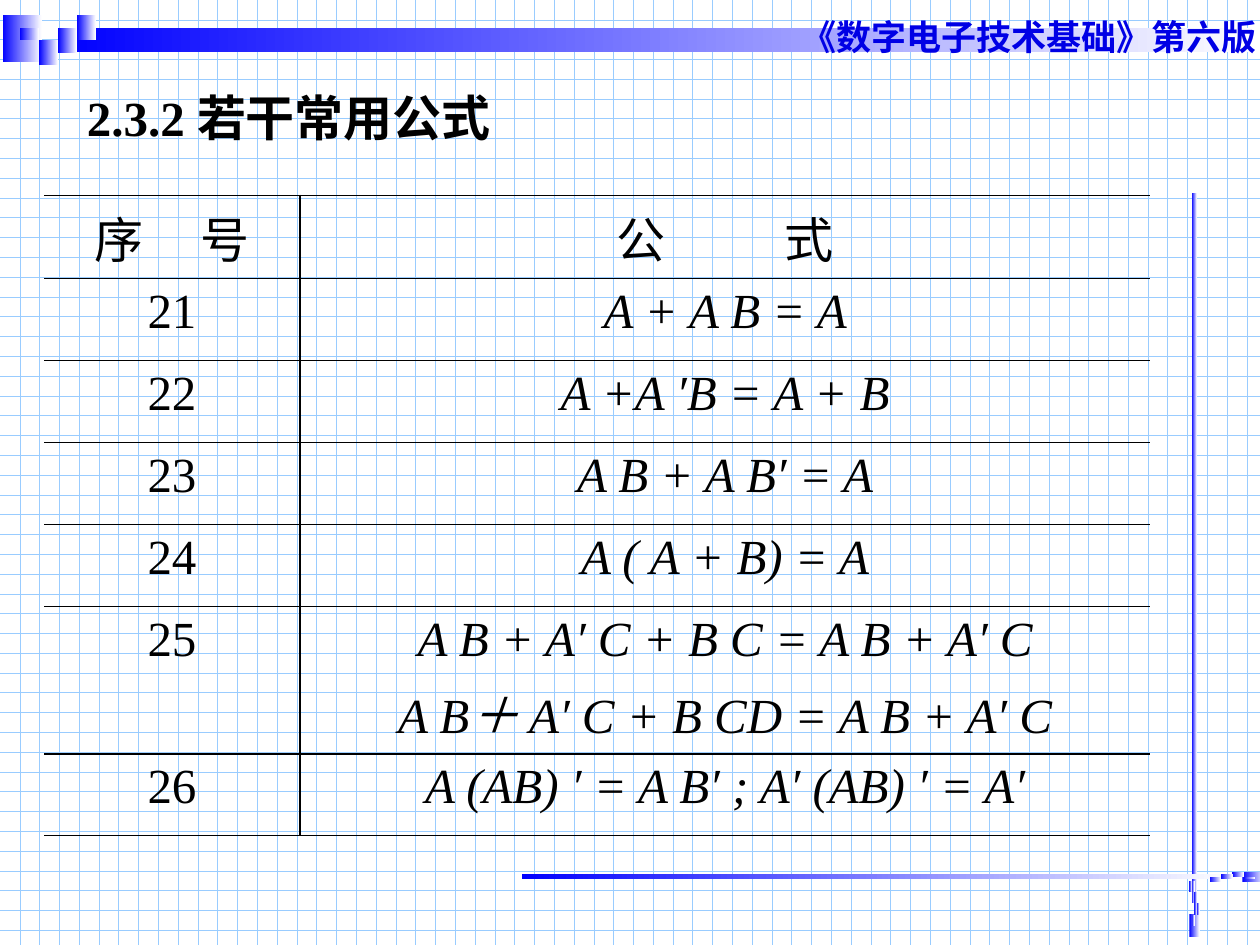
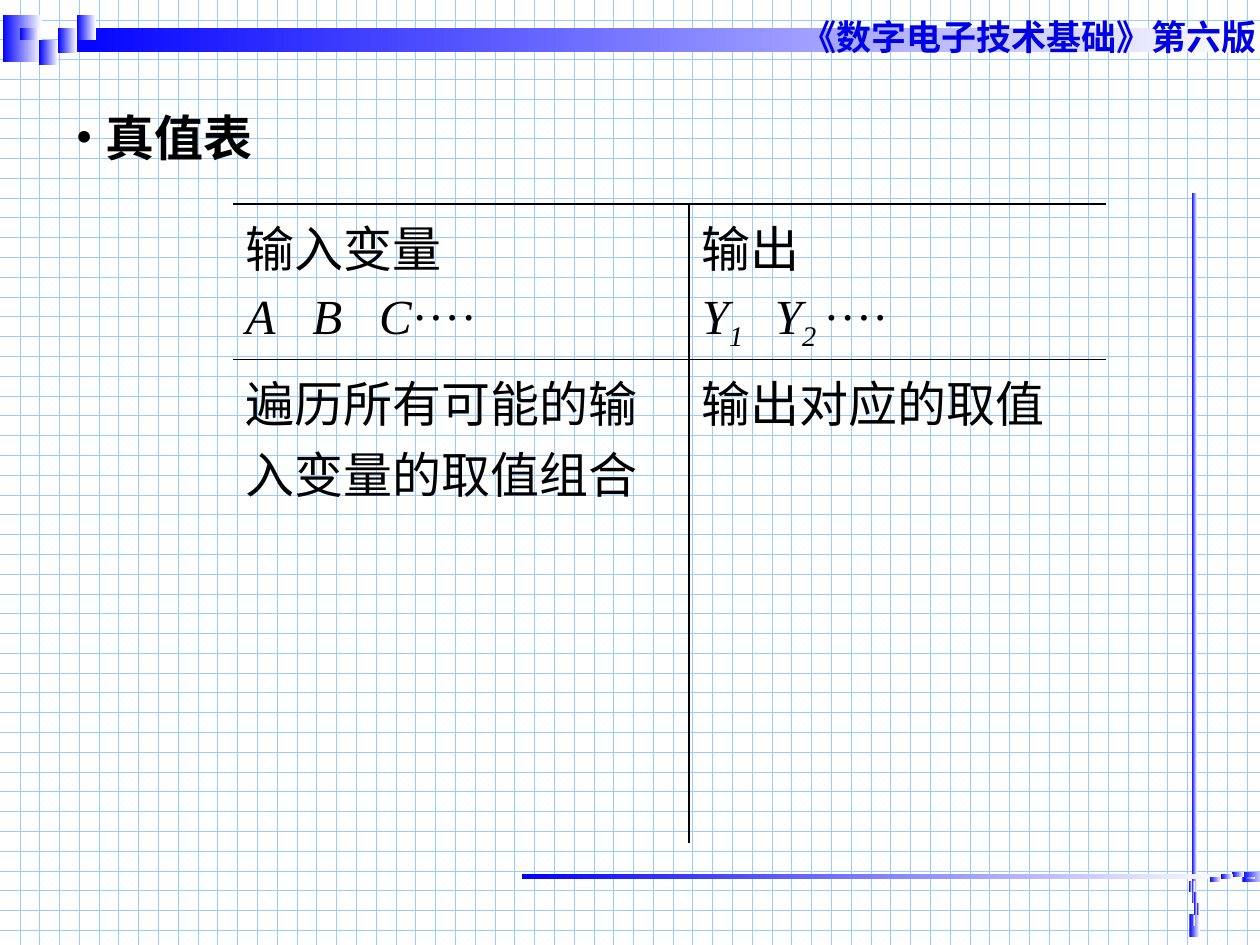
from lxml import etree
from pptx import Presentation
from pptx import util as u
from pptx.dml.color import RGBColor
from pptx.enum import dml, shapes, text
from pptx.oxml.ns import qn

COLORS = {"blue": "0000FF", "white": "FFFFFF", "grid": "99CCFF",
          "header": "0000E5", "ink": "000000"}
SERIF = "Times New Roman"
BODY_SIZE = 28
ITALIC = {"i": "1"}
SUB = {"i": "1", "baseline": "-25000"}


def style(font, name, size, color, bold=False):
    font.name, font.size, font.bold = name, u.Pt(size), bold
    font.color.rgb = RGBColor.from_string(COLORS[color])


def add_grid_table(page, left, top, widths, heights, rows, align, lined_rows):
    frame = page.shapes.add_table(len(rows), len(widths), u.Inches(left), u.Inches(top),
                                  u.Inches(sum(widths)), u.Inches(sum(heights)))
    table = frame.table
    table.first_row = table.horz_banding = False
    for column, width in zip(table.columns, widths):
        column.width = u.Inches(width)
    for r, (height, row) in enumerate(zip(heights, rows)):
        table.rows[r].height = u.Inches(height)
        for c, paragraphs in enumerate(row):
            cell = table.cell(r, c)
            borders = {"lnL": c == 1, "lnR": c == 0, "lnT": True, "lnB": r in lined_rows}
            for tag, visible in borders.items():
                line = etree.SubElement(cell._tc.get_or_add_tcPr(), qn("a:" + tag), w=str(u.Pt(1)))
                if visible:
                    solid = etree.SubElement(line, qn("a:solidFill"))
                    etree.SubElement(solid, qn("a:srgbClr"), val=COLORS["ink"])
                else:
                    etree.SubElement(line, qn("a:noFill"))
            cell.fill.background()
            for n, runs in enumerate(paragraphs):
                para = cell.text_frame.add_paragraph() if n else cell.text_frame.paragraphs[0]
                para.alignment = align
                if n:
                    para.space_before = u.Pt(0.2 * BODY_SIZE)
                for words, attributes in runs:
                    span = para.add_run()
                    span.text = words
                    style(span.font, SERIF, BODY_SIZE, "ink")
                    for key, value in attributes.items():
                        span._r.get_or_add_rPr().set(key, value)


deck = Presentation()
deck.slide_width, deck.slide_height = u.Inches(10), u.Inches(7.5)
layout = deck.slide_layouts[5]
for holder in list(layout.placeholders):
    if holder.placeholder_format.type != shapes.PP_PLACEHOLDER.TITLE:
        layout.shapes.element.remove(holder.element)

backdrop = layout.background.fill
backdrop.patterned()
backdrop.pattern = dml.MSO_PATTERN.DOTTED_GRID
backdrop.fore_color.rgb = RGBColor.from_string(COLORS["grid"])
backdrop.back_color.rgb = RGBColor.from_string(COLORS["white"])

mosaics = [
    {"bars": [(0.02, 0.12, 0.31, 0.37), (0.47, 0.22, 9.53, 0.19)],
     "origin": (0.16, 0.12), "tile": (0.15, 0.1),
     "spots": [(2, 1), (3, 0), (3, 1), (1, 2), (0, 1), (2, 2), (1, 3)]},
    {"bars": [(9.44, 7.25, 0.08, 0.19), (9.46, 1.53, 0.04, 5.64)],
     "origin": (9.44, 6.99), "tile": (0.02, 0.09),
     "spots": [(1, 1), (0, 0), (1, 0), (2, 2), (1, 3), (2, 1), (3, 2)]},
    {"bars": [(9.86, 6.92, 0.18, 0.08), (4.14, 6.94, 5.64, 0.04)],
     "origin": (9.6, 6.92), "tile": (0.09, 0.02),
     "spots": [(1, 2), (0, 3), (0, 2), (2, 1), (3, 2), (1, 1), (2, 0)]},
]
formula_page = deck.slides.add_slide(layout)
for mosaic in mosaics:
    (x, y), (width, height) = mosaic["origin"], mosaic["tile"]
    tiles = [(x + c * width, y + r * height, width, height) for c, r in mosaic["spots"]]
    for place in mosaic["bars"] + tiles:
        bar = formula_page.shapes.add_shape(shapes.MSO_SHAPE.RECTANGLE, *map(u.Inches, place))
        bar.shadow.inherit = False
        bar.line.fill.background()
        bar.fill.gradient()
        bar.fill.gradient_angle = 0
        for stop, color in zip(bar.fill.gradient_stops, ("blue", "white")):
            stop.color.rgb = RGBColor.from_string(COLORS[color])
            stop.position = 0 if color == "blue" else 1
        layout.shapes.element.append(bar.element)

book = formula_page.shapes.add_textbox(*map(u.Inches, (6.26, 0.07, 4.06, 0.43)))
book.text_frame.word_wrap = True
book.text_frame.text = "《数字电子技术基础》第六版"
style(book.text_frame.paragraphs[0].runs[0].font, "Arial", 20, "header", True)
layout.shapes.element.append(book.element)

truth_page = deck.slides.add_slide(layout)
for page, words, left, top in [(formula_page, "2.3.2 若干常用公式", 0.59, 0.44),
                               (truth_page, "真值表", 0.5, 0.6)]:
    title = page.shapes.title
    title.left, title.top, title.width, title.height = map(u.Inches, (left, top, 9, 0.97))
    title.text_frame.text = words
    title.text_frame.auto_size = text.MSO_AUTO_SIZE.NONE
    title.text_frame.vertical_anchor = text.MSO_ANCHOR.MIDDLE
    para = title.text_frame.paragraphs[0]
    para.alignment = text.PP_ALIGN.LEFT
    if page is truth_page:
        properties = para._p.get_or_add_pPr()
        properties.set("marL", str(u.Inches(0.24)))
        properties.set("indent", str(-u.Inches(0.24)))
        etree.SubElement(properties, qn("a:buFont"), typeface=SERIF)
        etree.SubElement(properties, qn("a:buChar"), char="•")
    style(para.runs[0].font, SERIF, BODY_SIZE, "ink", True)

formulas = [
    ["A + A B = A"],
    ["A +A ′B = A + B"],
    ["A B + A B′ = A"],
    ["A ( A + B) = A"],
    ["A B + A′ C + B C = A B + A′ C", "A B＋ A′ C + B CD = A B + A′ C"],
    ["A (AB) ′ = A B′ ; A′ (AB) ′ = A′"],
]
formula_rows = [[[[("序", {}), (" ", {"spc": "2600"}), ("号", {})]],
                 [[("公", {}), (" ", {"spc": "6200"}), ("式", {})]]]]
for number, lines in enumerate(formulas, 21):
    formula_rows.append([[[(str(number), {})]], [[(line, ITALIC)] for line in lines]])
heights = [1.13 if number == 25 else 0.65 for number in range(20, 27)]
add_grid_table(formula_page, 0.35, 1.55, [2.03, 6.75], heights, formula_rows,
               text.PP_ALIGN.CENTER, range(7))

letter_gap = (" ", {"i": "1", "spc": "1400"})
inputs = [("A", ITALIC), letter_gap, ("B", ITALIC), letter_gap, ("C", ITALIC), ("····", {})]
outputs = [("Y", ITALIC), ("1", SUB), (" ", {**SUB, "spc": "1400"}),
           ("Y", ITALIC), ("2 ", SUB), ("····", {})]
truth_rows = [
    [[[("输入变量", {})], inputs], [[("输出", {})], outputs]],
    [[[("遍历所有可能的输入变量的取值组合", {})]], [[("输出对应的取值", {})]]],
]
add_grid_table(truth_page, 1.85, 1.62, [3.62, 3.31], [1.13, 3.84], truth_rows,
               text.PP_ALIGN.LEFT, [0])

deck.save("out.pptx")
